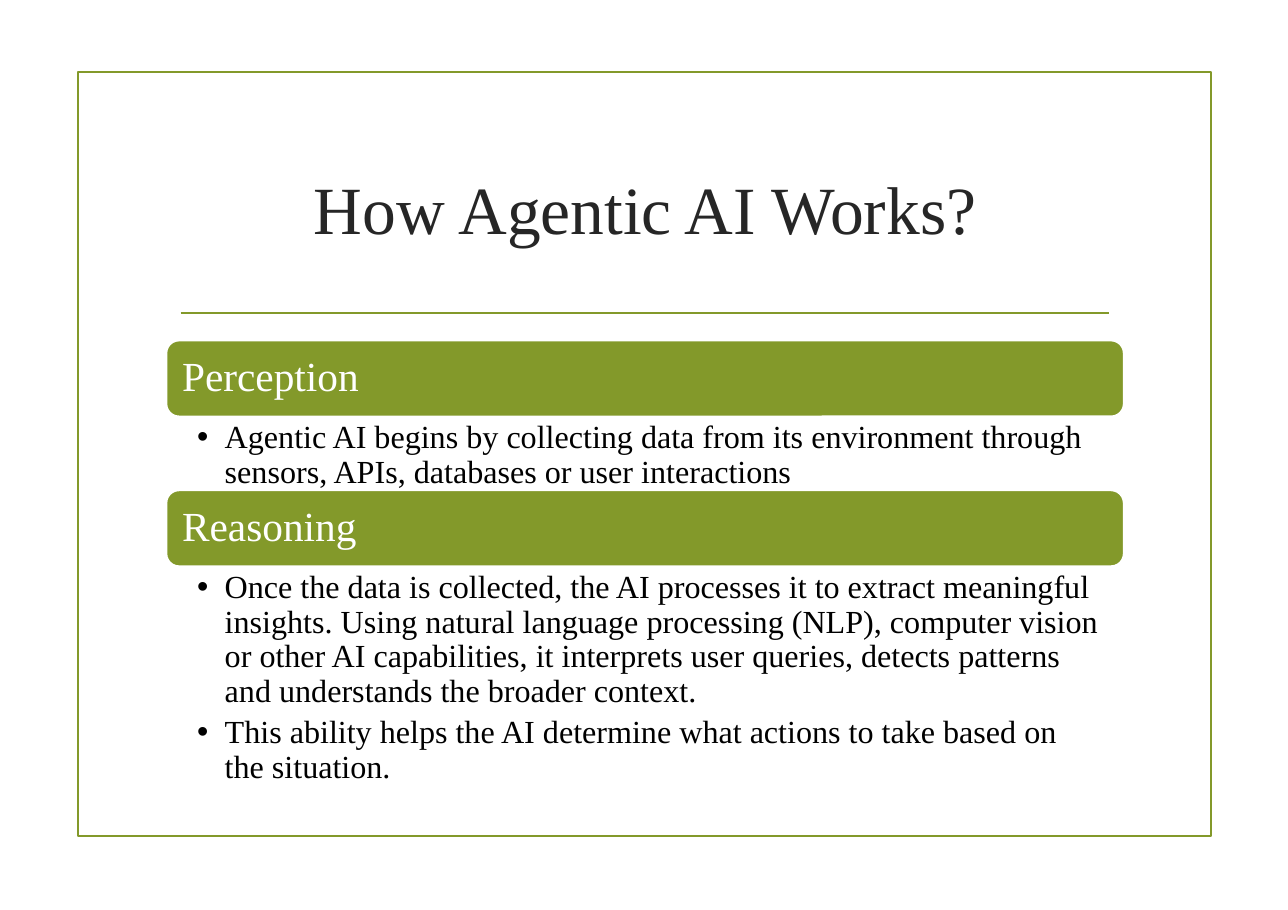
from lxml.etree import SubElement
from pptx import Presentation
from pptx.dml.color import RGBColor
from pptx.enum.shapes import MSO_CONNECTOR, MSO_SHAPE
from pptx.enum.text import MSO_ANCHOR, MSO_AUTO_SIZE, PP_ALIGN
from pptx.oxml.ns import qn
from pptx.util import Inches, Pt

# Content
TITLE = "How Agentic AI Works?"
SECTIONS = [
    ("Perception", 0.67, [
        "Agentic AI begins by collecting data from its environment through "
        "sensors, APIs, databases or user interactions",
    ]),
    ("Reasoning", 1.93, [
        "Once the data is collected, the AI processes it to extract meaningful "
        "insights. Using natural language processing (NLP), computer vision or "
        "other AI capabilities, it interprets user queries, detects patterns "
        "and understands the broader context.",
        "This ability helps the AI determine what actions to take based on "
        "the situation.",
    ]),
]

# Style and layout
COLORS = {"olive": "83992A", "title": "262626", "body": "000000", "white": "FFFFFF"}
FONT = "Times New Roman"
LINE_WIDTH = Pt(1.25)
LEFT, WIDTH = 1.51, 8.69
SECTIONS_TOP, BAR_HEIGHT = 3.09, 0.69
INDENT = Inches(0.25)


def color(name):
    return RGBColor.from_string(COLORS[name])


def place(shape, left, top, width, height):
    shape.left, shape.top = Inches(left), Inches(top)
    shape.width, shape.height = Inches(width), Inches(height)


def set_frame(frame, anchor, left, top, right, bottom):
    frame.word_wrap = True
    frame.auto_size = MSO_AUTO_SIZE.NONE
    frame.vertical_anchor = anchor
    frame.margin_left, frame.margin_right = Inches(left), Inches(right)
    frame.margin_top, frame.margin_bottom = Inches(top), Inches(bottom)


def style(para, size, color_name, align=PP_ALIGN.LEFT, spacing=0.9, after=0):
    para.alignment = align
    para.line_spacing = spacing
    para.space_before, para.space_after = Pt(0), Pt(after)
    para.font.name, para.font.size = FONT, Pt(size)
    para.font.color.rgb = color(color_name)


def add_bar(page, heading, top):
    bar = page.shapes.add_shape(
        MSO_SHAPE.ROUNDED_RECTANGLE,
        Inches(LEFT), Inches(top), Inches(WIDTH), Inches(BAR_HEIGHT))
    bar.shadow.inherit = False
    bar.fill.solid()
    bar.fill.fore_color.rgb = color("olive")
    bar.line.color.rgb = color("white")
    bar.line.width = LINE_WIDTH
    set_frame(bar.text_frame, MSO_ANCHOR.MIDDLE, 0.11, 0.11, 0.11, 0.11)
    bar.text_frame.text = heading
    style(bar.text_frame.paragraphs[0], 27, "white")


def fill_list(box, items, top, height):
    place(box, LEFT, top, WIDTH, height)
    frame = box.text_frame
    set_frame(frame, MSO_ANCHOR.TOP, 0.28, 0.04, 0.21, 0.04)
    frame.text = "\n".join(items)
    for para in frame.paragraphs:
        properties = para._p.get_or_add_pPr()
        properties.set("marL", str(INDENT))
        properties.set("indent", str(-INDENT))
        SubElement(properties, qn("a:buChar"), char="•")
        style(para, 21, "body", after=4.2)


def main():
    deck = Presentation()
    deck.slide_width, deck.slide_height = Inches(11.69), Inches(8.26)
    page = deck.slides.add_slide(deck.slide_layouts.get_by_name("Two Content"))
    title, *lists = page.placeholders
    for date_or_number in lists[len(SECTIONS):]:
        date_or_number.element.getparent().remove(date_or_number.element)

    # Frame
    border = page.shapes.add_shape(
        MSO_SHAPE.RECTANGLE, Inches(0.71), Inches(0.65), Inches(10.28), Inches(6.94))
    border.shadow.inherit = False
    border.fill.background()
    border.line.color.rgb = color("olive")
    border.line.width = LINE_WIDTH

    # Title and rule below it
    place(title, LEFT, 1.1, 8.7, 1.57)
    set_frame(title.text_frame, MSO_ANCHOR.MIDDLE, 0.1, 0.05, 0.1, 0.05)
    title.text_frame.text = TITLE
    style(title.text_frame.paragraphs[0], 44.1, "title", PP_ALIGN.CENTER, 1.0)
    rule = page.shapes.add_connector(
        MSO_CONNECTOR.STRAIGHT, Inches(1.64), Inches(2.84), Inches(10.07), Inches(2.84))
    rule.line.color.rgb = color("olive")
    rule.line.width = LINE_WIDTH
    SubElement(rule._element.spPr, qn("a:effectLst"))

    # Sections, stacked from the top
    top = SECTIONS_TOP
    for box, (heading, list_height, items) in zip(lists, SECTIONS):
        add_bar(page, heading, top)
        fill_list(box, items, top + BAR_HEIGHT, list_height)
        top += BAR_HEIGHT + list_height

    deck.save("out.pptx")


if __name__ == "__main__":
    main()
